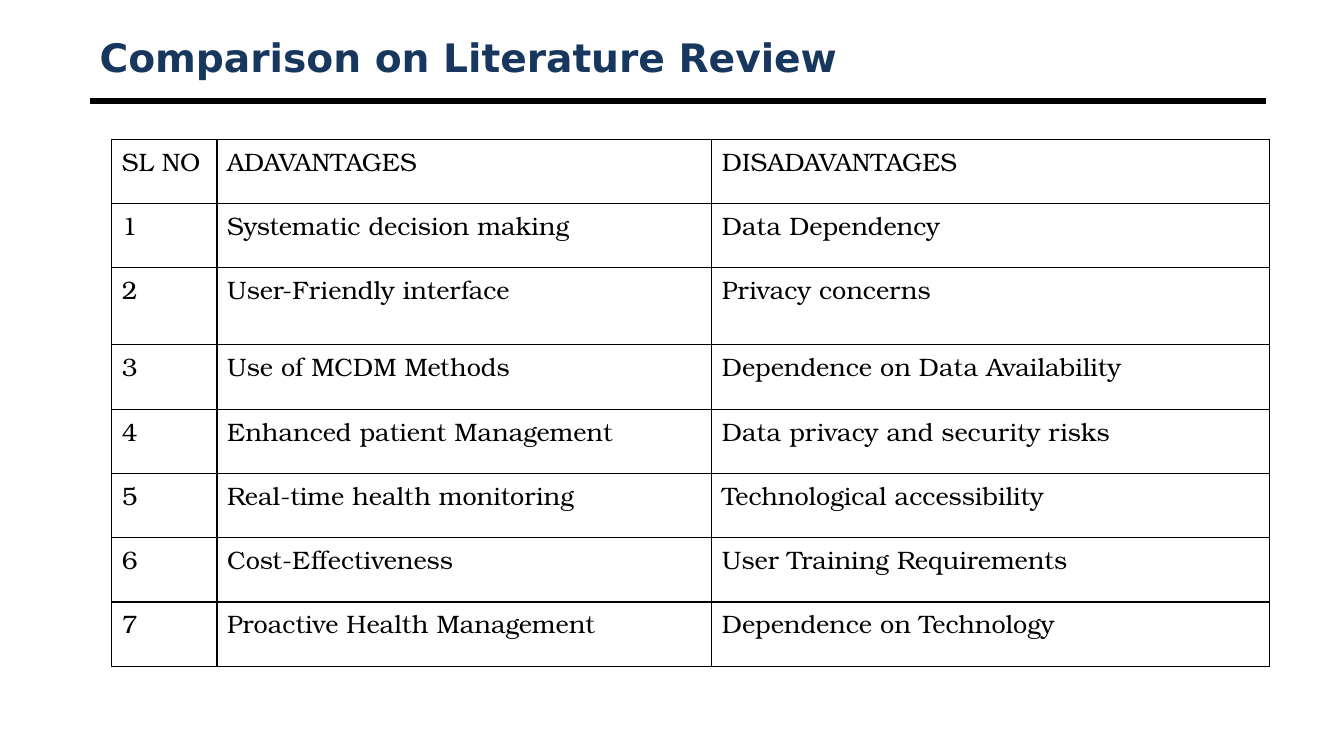
from lxml.etree import SubElement
from pptx import Presentation
from pptx.dml.color import RGBColor
from pptx.enum.text import MSO_ANCHOR
from pptx.oxml.ns import qn
from pptx.util import Cm, Pt

BLACK = RGBColor(0x00, 0x00, 0x00)
NAVY = RGBColor(0x17, 0x37, 0x5E)

TITLE_FORMAT = {"name": "DejaVu Sans", "size": Pt(28), "bold": True}
CELL_FORMAT = {"name": "TeX Gyre Bonum", "size": Pt(18), "bold": False}

COLUMN_WIDTHS = (2.65, 12.47, 14.05)
ROW_HEIGHT = 1.62
TALL_ROW, TALL_HEIGHT = 2, 1.94
HEADINGS = ("SL NO", "ADAVANTAGES", "DISADAVANTAGES")
COMPARISONS = (
    ("Systematic decision making", "Data Dependency"),
    ("User-Friendly interface", "Privacy concerns"),
    ("Use of MCDM Methods", "Dependence on Data Availability"),
    ("Enhanced patient Management", "Data privacy and security risks"),
    ("Real-time health monitoring", "Technological accessibility"),
    ("Cost-Effectiveness", "User Training Requirements"),
    ("Proactive Health Management", "Dependence on Technology"),
)


def write_text(frame, text, formats, color):
    """Put one formatted span into a text frame."""
    span = frame.paragraphs[0].add_run()
    span.text = text
    for name, value in formats.items():
        setattr(span.font, name, value)
    span.font.color.rgb = color


def add_title(page, text):
    """Add the slide heading."""
    box = page.shapes.add_textbox(Cm(2.26), Cm(0.76), Cm(29.64), Cm(1.35))
    box.text_frame.word_wrap = True
    box.text_frame.vertical_anchor = MSO_ANCHOR.MIDDLE
    write_text(box.text_frame, text, TITLE_FORMAT, NAVY)


def add_rule(page):
    """Draw the thick line below the heading."""
    rule = page.shapes.add_connector(1, Cm(2.26), Cm(2.54), Cm(31.9), Cm(2.54))
    rule.line.color.rgb = BLACK
    rule.line.width = Pt(4.5)
    SubElement(rule._element.spPr, qn("a:effectLst"))


def add_borders(cell):
    """Outline all four sides of a table cell."""
    properties = cell._tc.get_or_add_tcPr()
    for position, side in enumerate(("lnL", "lnR", "lnT", "lnB")):
        border = properties.makeelement(qn(f"a:{side}"), {"w": str(Pt(1))})
        fill = SubElement(border, qn("a:solidFill"))
        SubElement(fill, qn("a:srgbClr"), val=str(BLACK))
        properties.insert(position, border)


def add_comparison_table(page, rows):
    """Add the bordered table with one row per comparison."""
    heights = [ROW_HEIGHT] * len(rows)
    heights[TALL_ROW] = TALL_HEIGHT
    table = page.shapes.add_table(
        len(rows), len(COLUMN_WIDTHS), Cm(2.82), Cm(3.51),
        Cm(sum(COLUMN_WIDTHS)), Cm(sum(heights)),
    ).table
    table.first_row = table.horz_banding = False
    for column, width in zip(table.columns, COLUMN_WIDTHS):
        column.width = Cm(width)
    for table_row, height, texts in zip(table.rows, heights, rows):
        table_row.height = Cm(height)
        for cell, text in zip(table_row.cells, texts):
            cell.fill.background()
            add_borders(cell)
            write_text(cell.text_frame, text, CELL_FORMAT, BLACK)


def main():
    """Build and save the slide."""
    deck = Presentation()
    deck.slide_width, deck.slide_height = Cm(33.87), Cm(19.05)
    page = deck.slides.add_slide(deck.slide_layouts[6])
    add_rule(page)
    add_title(page, "Comparison on Literature Review")
    numbered = [(str(number), *pair) for number, pair in enumerate(COMPARISONS, 1)]
    add_comparison_table(page, [HEADINGS, *numbered])
    deck.save("out.pptx")


if __name__ == "__main__":
    main()
